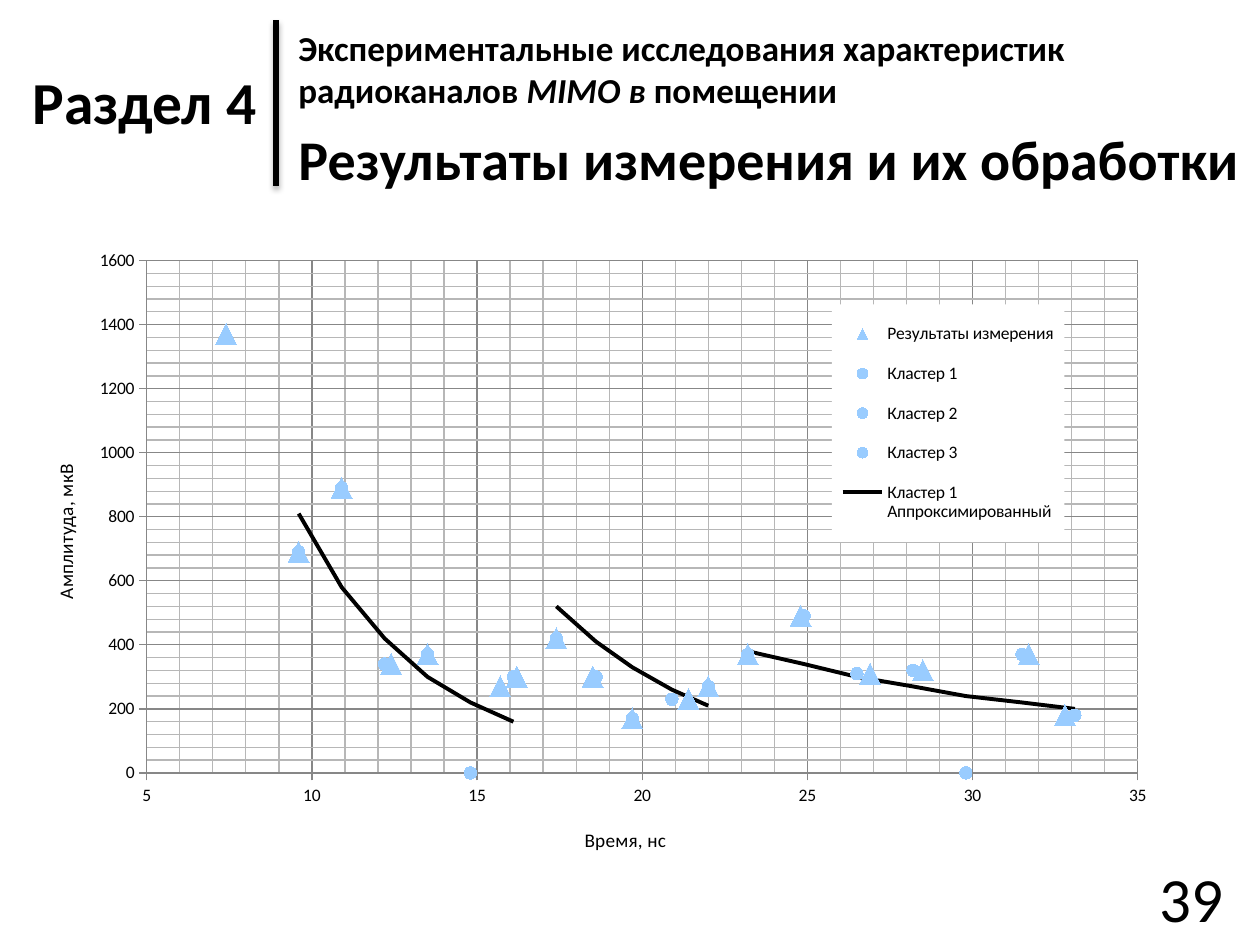
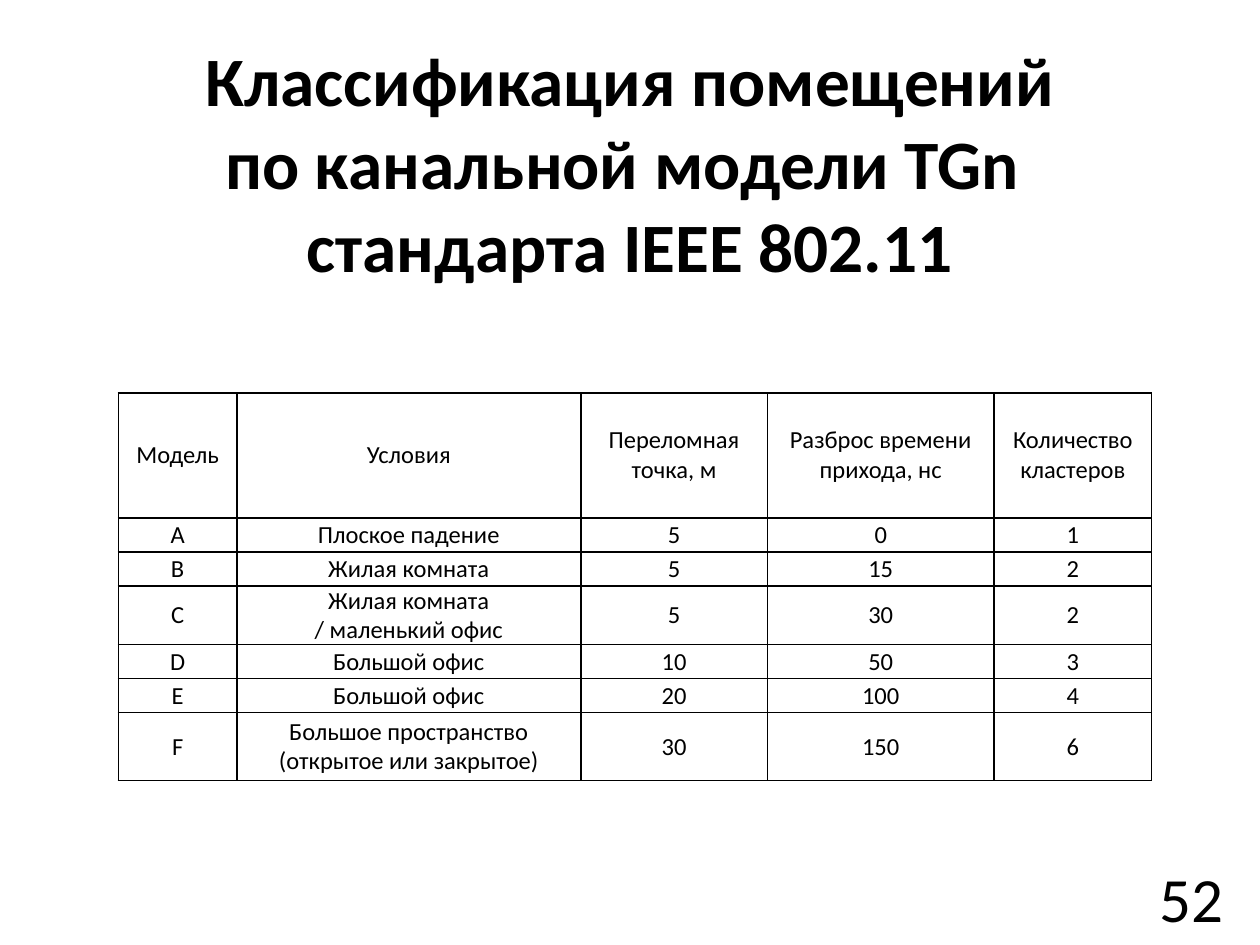
from lxml.etree import SubElement
from pptx import Presentation
from pptx.chart.data import XyChartData
from pptx.dml.color import RGBColor
from pptx.enum.chart import XL_CHART_TYPE as Kind
from pptx.enum.chart import XL_LEGEND_POSITION as Side
from pptx.enum.chart import XL_MARKER_STYLE as Mark
from pptx.enum.chart import XL_TICK_MARK as Tick
from pptx.enum.shapes import MSO_CONNECTOR as Link
from pptx.enum.text import MSO_ANCHOR as Anchor
from pptx.enum.text import PP_ALIGN as Align
from pptx.oxml import parse_xml
from pptx.oxml.ns import nsdecls, qn
from pptx.util import Inches, Pt

# Shared look
BLACK = RGBColor(0x00, 0x00, 0x00)
WHITE = RGBColor(0xFF, 0xFF, 0xFF)
GREY = RGBColor(0x87, 0x87, 0x87)
PALE = RGBColor(0xB7, 0xB7, 0xB7)
SKY = RGBColor(0x99, 0xCC, 0xFF)
FONT = "Calibri"

# Chart data: times in ns, levels in µV
TIMES = [7.4, 9.6, 10.9, 12.4, 13.5, 15.7, 16.2, 17.4, 18.5,
         19.7, 21.4, 22, 23.2, 24.8, 26.9, 28.5, 31.7, 32.8]
LEVELS = [1370, 690, 890, 340, 370, 270, 300, 420, 300,
          170, 230, 270, 370, 490, 310, 320, 370, 180]
TIMES_1 = [9.6, 10.9, 12.2, 13.5, 14.8, 16.1]
TIMES_2 = [17.4, 18.6, 19.7, 20.9, 22]
TIMES_3 = [23.2, 24.9, 26.5, 28.2, 29.8, 31.5, 33.1]
DOTS = [
    ("Результаты измерения", TIMES, LEVELS),
    ("Кластер 1", TIMES_1, [690, 890, 340, 370, 0, 300]),
    ("Кластер 2", TIMES_2, [420, 300, 170, 230, 270]),
    ("Кластер 3", TIMES_3, [370, 490, 310, 320, 0, 370, 180]),
]
CURVES = [
    ("Кластер 1 Аппроксимированный", TIMES_1, [810, 580, 420, 300, 220, 160]),
    ("Series 6", TIMES_2, [520, 410, 330, 260, 210]),
    ("Series 7", TIMES_3, [380, 340, 300, 270, 240, 220, 200]),
]

# Table data
COLS = [0.94, 2.73, 1.48, 1.8, 1.25]
ROWS = [0.99, 0.27, 0.27, 0.27, 0.27, 0.27, 0.54]
ROOMS = [
    ("Модель", "Условия", "Переломная точка, м",
     "Разброс времени прихода, нс", "Количество кластеров"),
    ("A", "Плоское падение", "5", "0", "1"),
    ("B", "Жилая комната", "5", "15", "2"),
    ("C", "Жилая комната\n/ маленький офис", "5", "30", "2"),
    ("D", "Большой офис", "10", "50", "3"),
    ("E", "Большой офис", "20", "100", "4"),
    ("F", "Большое пространство (открытое или закрытое)", "30", "150", "6"),
]


def style(font, size, bold=False, italic=False):
    font.name, font.size, font.bold, font.italic = FONT, Pt(size), bold, italic
    font.color.rgb = BLACK


def write(frame, text, size=14, bold=False, align=Align.LEFT, slant=""):
    """Fill a frame, one paragraph a line; the words in slant are italic."""
    frame.word_wrap = True
    for num, line in enumerate(text.split("\n")):
        para = frame.add_paragraph() if num else frame.paragraphs[0]
        para.alignment = align
        head, mid, tail = line.partition(slant) if slant else (line, "", "")
        for part in filter(None, (head, mid, tail)):
            run = para.add_run()
            run.text = part
            style(run.font, size, bold, bool(slant) and part == mid)


def box(slide, at, text, anchor=Anchor.MIDDLE, **form):
    frame = slide.shapes.add_textbox(*map(Inches, at)).text_frame
    frame.vertical_anchor = anchor
    write(frame, text, **form)


def number(slide, text):
    box(slide, (8.67, 6.88, 1.14, 0.48), text, size=36, align=Align.RIGHT)


def rule(slide, x, top, end):
    """Thick upright line with a soft shadow below."""
    line = slide.shapes.add_connector(
        Link.STRAIGHT, Inches(x), Inches(top), Inches(x), Inches(end))
    line.line.color.rgb = BLACK
    line.line.width = Pt(3)
    line._element.spPr.append(parse_xml(
        f'<a:effectLst {nsdecls("a")}><a:outerShdw blurRad="40000" dist="23000" '
        'dir="5400000" rotWithShape="0"><a:srgbClr val="000000">'
        '<a:alpha val="35000"/></a:srgbClr></a:outerShdw></a:effectLst>'))


# Chart parts
def place(part, x, y, w=None, h=None, inner=False):
    """Set a fixed layout, in fractions of the chart."""
    old = part.find(qn("c:layout"))
    if old is not None:
        part.remove(old)
    tags = [("layoutTarget", "inner")] if inner else []
    tags += [("xMode", "edge"), ("yMode", "edge"), ("x", x), ("y", y)]
    if w:
        tags += [("w", w), ("h", h)]
    body = "".join(f'<c:{tag} val="{val}"/>' for tag, val in tags)
    new = parse_xml(f'<c:layout {nsdecls("c")}><c:manualLayout>{body}'
                    '</c:manualLayout></c:layout>')
    over = part.find(qn("c:overlay"))
    if over is None:
        part.insert(0, new)
    else:
        over.addprevious(new)


def solid(color):
    return f'<a:solidFill><a:srgbClr val="{color}"/></a:solidFill>'


def props(body):
    return parse_xml(f'<c:spPr {nsdecls("c", "a")}>{body}</c:spPr>')


def set_axis(axis, title, spot, low, high, major, minor):
    axis.minimum_scale, axis.maximum_scale = low, high
    axis.major_unit, axis.minor_unit = major, minor
    axis.has_major_gridlines = axis.has_minor_gridlines = True
    axis.major_tick_mark, axis.minor_tick_mark = Tick.OUTSIDE, Tick.NONE
    for item in (axis, axis.major_gridlines):
        item.format.line.color.rgb = GREY
        item.format.line.width = Pt(0.75)
    fine = axis._element.find(qn("c:minorGridlines"))
    fine.append(props(f'<a:ln w="{Pt(0.75)}">{solid(PALE)}</a:ln>'))
    run = axis.axis_title.text_frame.paragraphs[0].add_run()
    run.text = title
    style(run.font, 11)
    place(axis.axis_title._element, *spot)


def set_key(chart):
    """White legend over the plot, without the last two curves."""
    chart.has_legend = True
    key = chart.legend
    key.position, key.include_in_layout = Side.RIGHT, False
    root = key._element
    place(root, 0.68, 0.11, 0.19, 0.38)
    root.find(qn("c:overlay")).addnext(props(solid(WHITE)))
    for num in (6, 5):
        root.find(qn("c:legendPos")).addnext(parse_xml(
            f'<c:legendEntry {nsdecls("c")}><c:idx val="{num}"/>'
            '<c:delete val="1"/></c:legendEntry>'))


def plot(slide, at):
    data = XyChartData()
    for name, times, levels in DOTS + CURVES:
        row = data.add_series(name)
        for x, y in zip(times, levels):
            row.add_data_point(x, y)
    chart = slide.shapes.add_chart(Kind.XY_SCATTER, *map(Inches, at), data).chart
    chart.has_title = False
    style(chart.font, 10)
    chart.plots[0].vary_by_categories = False
    for num, row in enumerate(chart.plots[0].series):
        row.smooth = False
        if num >= len(DOTS):
            row.marker.style = Mark.NONE
            row.format.line.color.rgb = BLACK
            row.format.line.width = Pt(2.25)
            continue
        row.format.line.fill.background()
        row.marker.style = Mark.CIRCLE if num else Mark.TRIANGLE
        row.marker.size = 7 if num else 12
        row.marker.format.fill.solid()
        row.marker.format.fill.fore_color.rgb = SKY
        row.marker.format.line.fill.background()
    set_axis(chart.category_axis, "Время, нс", (0.475, 0.94), 5, 35, 5, 1)
    set_axis(chart.value_axis, "Амплитуда, мкВ", (0.04, 0.36), 0, 1600, 200, 40)
    set_key(chart)
    area = chart._chartSpace.chart.plotArea
    place(area, 0.12, 0.04, 0.81, 0.82, inner=True)
    area.append(props(solid(WHITE)))


# Table parts
def border(cell):
    root = cell._tc.get_or_add_tcPr()
    for side in "LRTB":
        line = SubElement(root, qn(f"a:ln{side}"), w=str(Pt(1)))
        fill = SubElement(line, qn("a:solidFill"))
        SubElement(fill, qn("a:srgbClr"), val=str(BLACK))


def grid(slide, at):
    table = slide.shapes.add_table(len(ROWS), len(COLS), *map(Inches, at)).table
    table.first_row = table.horz_banding = False
    for col, width in zip(table.columns, COLS):
        col.width = Inches(width)
    for row, height, texts in zip(table.rows, ROWS, ROOMS):
        row.height = Inches(height)
        for cell, text in zip(row.cells, texts):
            cell.margin_left = cell.margin_right = Inches(0.07)
            cell.margin_top = cell.margin_bottom = 0
            cell.vertical_anchor = Anchor.MIDDLE
            border(cell)
            cell.fill.background()
            write(cell.text_frame, text, align=Align.CENTER)


def results(slide):
    number(slide, "39")
    plot(slide, (0, 1.87, 9.71, 4.96))
    box(slide, (2.27, 0.23, 7.73, 0.62),
        "Экспериментальные исследования характеристик радиоканалов MIMO в помещении",
        size=20, bold=True, slant="MIMO в")
    box(slide, (0.16, 0.47, 2.19, 0.67), "Раздел 4", Anchor.TOP,
        size=34, bold=True)
    box(slide, (2.27, 1.02, 7.73, 0.47), "Результаты измерения и их обработки",
        size=32, bold=True)
    rule(slide, 2.19, 0.16, 1.48)


def classes(slide):
    box(slide, (0, 0.3, 10, 1.97),
        "Классификация помещений\nпо канальной модели TGn \nстандарта IEEE 802.11",
        size=39.6, bold=True, align=Align.CENTER)
    grid(slide, (0.94, 3.12, 8.2, 3.09))
    number(slide, "52")


def main():
    deck = Presentation()
    deck.slide_width, deck.slide_height = Inches(10), Inches(7.5)
    for fill in (results, classes):
        fill(deck.slides.add_slide(deck.slide_layouts[6]))
    deck.save("out.pptx")


if __name__ == "__main__":
    main()
